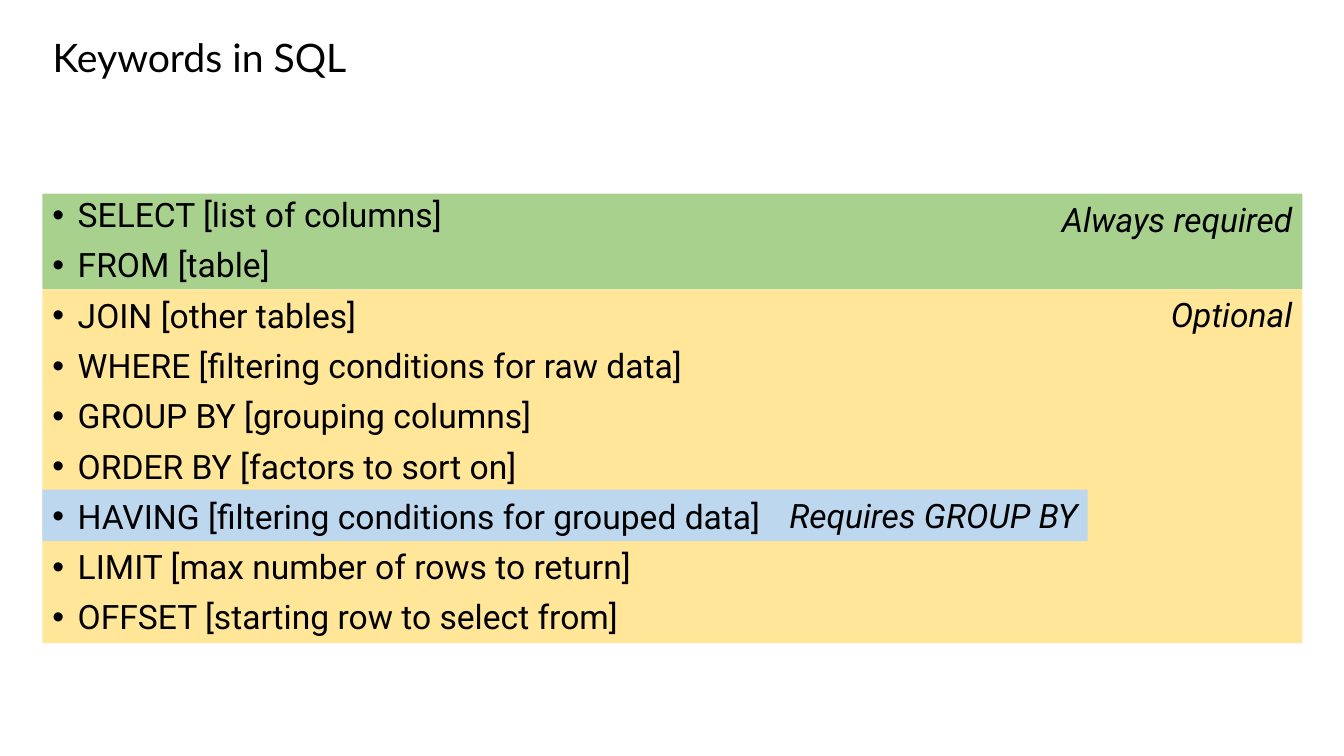
"""Build a slide that groups SQL keywords by whether they are required."""
from dataclasses import dataclass

import pptx
import pptx.dml.color
import pptx.enum.shapes
import pptx.enum.text
import pptx.oxml.ns
import pptx.util
from lxml import etree

Cm = pptx.util.Cm
Align = pptx.enum.text.PP_ALIGN


@dataclass(frozen=True)
class Theme:
    """Colours, fonts and type sizes of the slide."""

    text: str = "000000"
    required: str = "A9D18E"
    optional: str = "FFE699"
    dependent: str = "BDD7EE"
    title_font: str = "Lato"
    body_font: str = "Roboto"
    title_size: int = 28
    body_size: int = 24
    line_spacing: float = 0.9
    paragraph_gap: int = 10


@dataclass(frozen=True)
class Box:
    """A rectangle in centimetres."""

    left: float
    top: float
    width: float
    height: float

    def lengths(self):
        """Return left, top, width and height as lengths."""
        return Cm(self.left), Cm(self.top), Cm(self.width), Cm(self.height)


THEME = Theme()
TITLE_BOX = Box(1.07, 0.84, 31.75, 2.54)
KEYWORD_BOX = Box(1.07, 4.88, 31.75, 12.8)
KEYWORDS = [
    "SELECT [list of columns]",
    "FROM [table]",
    "JOIN [other tables]",
    "WHERE [filtering conditions for raw data]",
    "GROUP BY [grouping columns]",
    "ORDER BY [factors to sort on]",
    "HAVING [filtering conditions for grouped data]",
    "LIMIT [max number of rows to return]",
    "OFFSET [starting row to select from]",
]
BANDS = [
    ("Optional", THEME.optional, 2.41, 31.75, 8.92),
    ("Requires GROUP BY", THEME.dependent, 7.46, 26.34, 1.3),
    ("Always required", THEME.required, 0, 31.75, 2.41),
]


def add_run(paragraph, text, font_name, size, italic=False):
    """Add a formatted run to a paragraph."""
    run = paragraph.add_run()
    run.text = text
    run.font.name = font_name
    run.font.size = pptx.util.Pt(size)
    run.font.italic = italic
    run.font.color.rgb = pptx.dml.color.RGBColor.from_string(THEME.text)


def prepare_frame(shape):
    """Make the text of a shape wrap from the top and return its frame."""
    frame = shape.text_frame
    frame.word_wrap = True
    frame.auto_size = pptx.enum.text.MSO_AUTO_SIZE.NONE
    frame.vertical_anchor = pptx.enum.text.MSO_ANCHOR.TOP
    return frame


def add_bullet(paragraph):
    """Give a paragraph a hanging round bullet."""
    properties = paragraph._p.get_or_add_pPr()
    indent = Cm(0.64)
    properties.set("marL", str(indent))
    properties.set("indent", str(-indent))
    font = etree.SubElement(properties, pptx.oxml.ns.qn("a:buFont"))
    font.set("typeface", "Arial")
    bullet = etree.SubElement(properties, pptx.oxml.ns.qn("a:buChar"))
    bullet.set("char", "•")


def place_title(slide, box, text):
    """Move the title placeholder into the box and fill it."""
    title = slide.shapes.title
    title.left, title.top, title.width, title.height = box.lengths()
    paragraph = prepare_frame(title).paragraphs[0]
    paragraph.alignment = Align.LEFT
    paragraph.line_spacing = THEME.line_spacing
    add_run(paragraph, text, THEME.title_font, THEME.title_size)


def add_bands(slide, box):
    """Draw the labelled colour bands from the top left of the box."""
    for label, colour, offset, width, height in BANDS:
        place = Box(box.left, box.top + offset, width, height)
        band = slide.shapes.add_shape(
            pptx.enum.shapes.MSO_SHAPE.RECTANGLE, *place.lengths()
        )
        band.shadow.inherit = False
        band.fill.solid()
        band.fill.fore_color.rgb = pptx.dml.color.RGBColor.from_string(colour)
        band.line.fill.background()
        paragraph = prepare_frame(band).paragraphs[0]
        paragraph.alignment = Align.RIGHT
        add_run(paragraph, label, THEME.body_font, THEME.body_size, italic=True)


def add_keywords(slide, box):
    """List the keywords as bullets in the box."""
    frame = prepare_frame(slide.shapes.add_textbox(*box.lengths()))
    for index, keyword in enumerate(KEYWORDS):
        paragraph = frame.add_paragraph() if index else frame.paragraphs[0]
        paragraph.alignment = Align.LEFT
        paragraph.line_spacing = THEME.line_spacing
        paragraph.space_before = pptx.util.Pt(THEME.paragraph_gap)
        add_bullet(paragraph)
        add_run(paragraph, keyword, THEME.body_font, THEME.body_size)


def main():
    """Build and save the presentation."""
    presentation = pptx.Presentation()
    presentation.slide_width = Cm(33.87)
    presentation.slide_height = Cm(19.05)
    layout = presentation.slide_layouts.get_by_name("Title Only")
    slide = presentation.slides.add_slide(layout)
    place_title(slide, TITLE_BOX, "Keywords in SQL")
    add_bands(slide, KEYWORD_BOX)
    add_keywords(slide, KEYWORD_BOX)
    presentation.save("out.pptx")


main()
